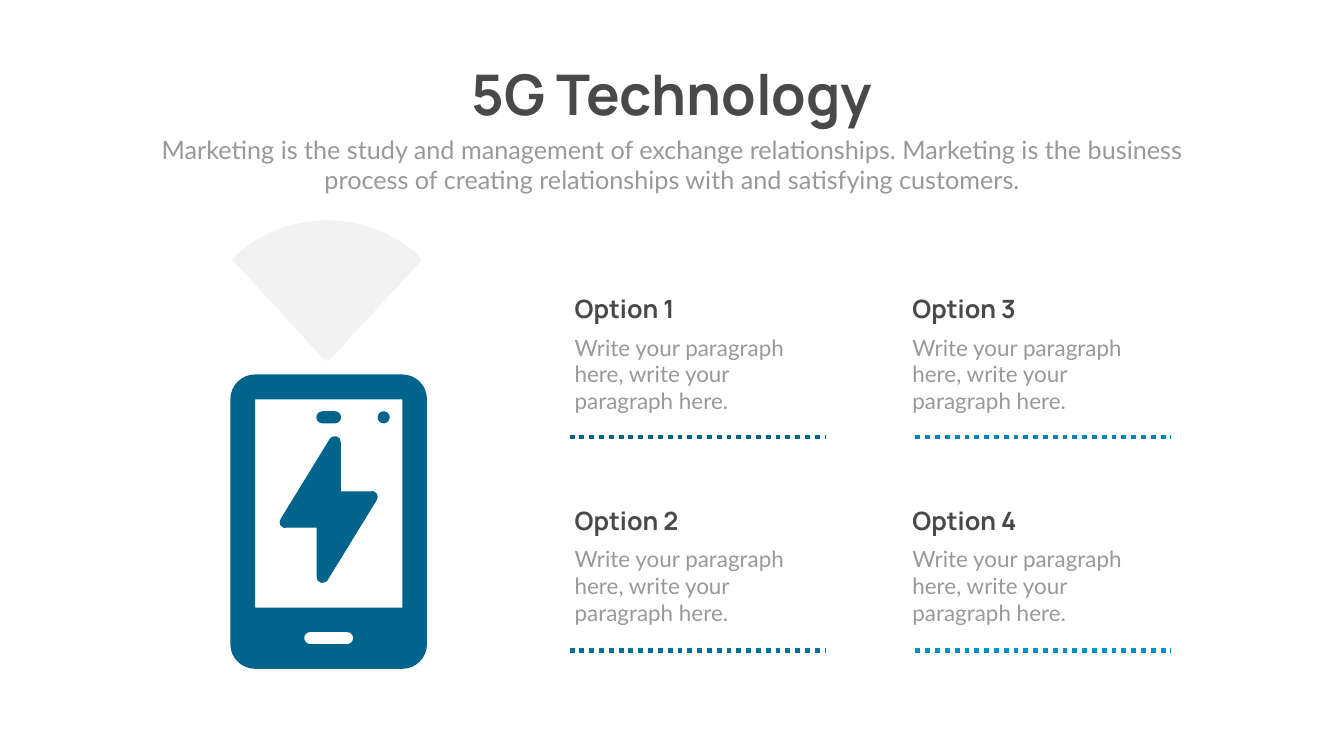
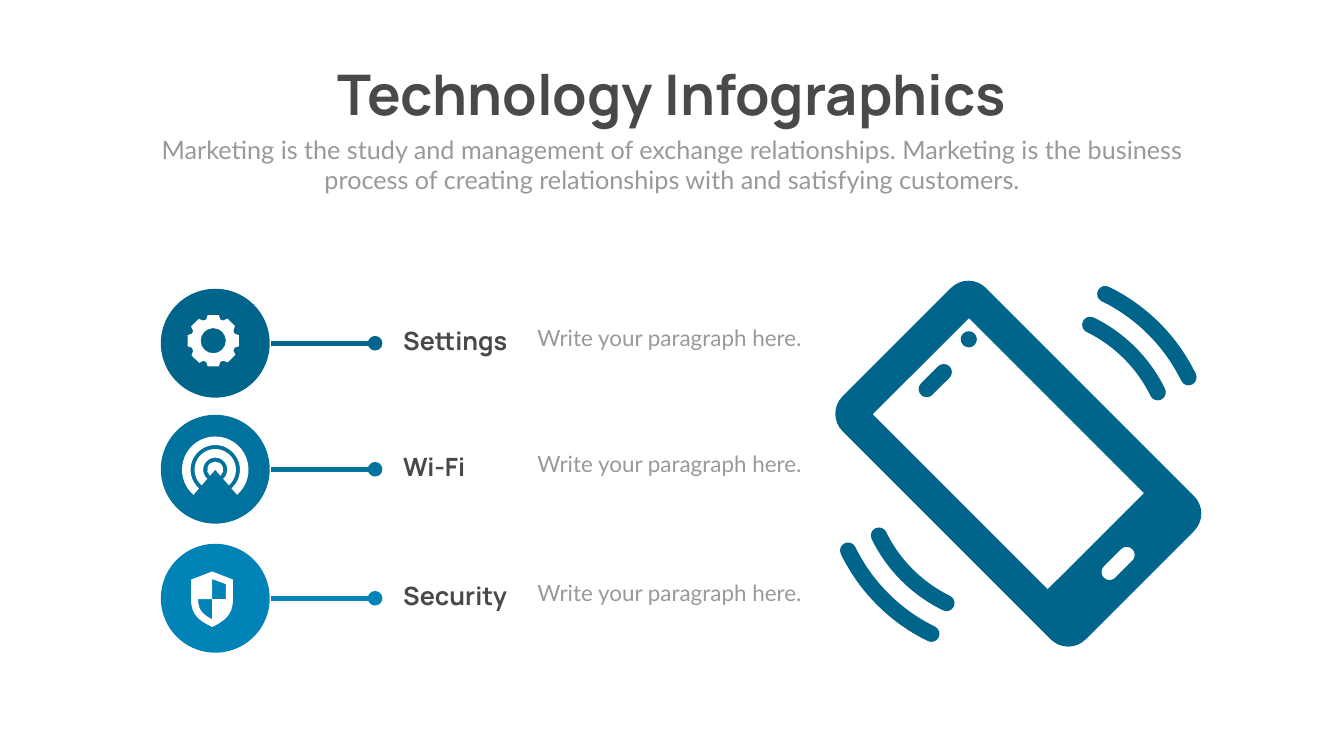
from dataclasses import dataclass
from math import ceil, cos, radians, sin, tan

from lxml.etree import SubElement as Sub
from pptx import Presentation
from pptx.dml.color import RGBColor as Rgb
from pptx.enum.dml import MSO_LINE as Dash
from pptx.enum.shapes import MSO_CONNECTOR as Link
from pptx.enum.shapes import MSO_SHAPE as Kind
from pptx.enum.text import MSO_AUTO_SIZE as Fit
from pptx.enum.text import PP_ALIGN as Align
from pptx.oxml.ns import qn
from pptx.util import Pt

PX = 9144
FINE = 10
WIDE, HIGH = 2666, 1500


@dataclass(frozen=True)
class Theme:
    dark: str = "494949"
    grey: str = "999999"
    pale: str = "F2F2F2"
    white: str = "FFFFFF"
    blues: tuple = ("00648B", "00729D", "0183B7", "0092CC")
    head: str = "Manrope"
    body: str = "Lato"
    title: int = 80
    lead: int = 36
    note: int = 32
    rule: int = 7


T = Theme()
LEAD = ("Marketing is the study and management of exchange relationships. "
        "Marketing is the business process of creating relationships with "
        "and satisfying customers.")
NOTE = "Write your paragraph here."
LONG = "Write your paragraph here, write your paragraph here."


def emu(*sizes):
    return [round(size * PX) for size in sizes]


def write(slide, text, at, font=T.body, size=T.note, color=T.grey,
          bold=False, align=Align.LEFT, wrap=True):
    frame = slide.shapes.add_textbox(*emu(*at)).text_frame
    frame.word_wrap = wrap
    frame.auto_size = Fit.SHAPE_TO_FIT_TEXT
    para = frame.paragraphs[0]
    para.alignment = align
    run = para.add_run()
    run.text = text
    run.font.name = font
    run.font.size = Pt(size)
    run.font.bold = bold
    run.font.color.rgb = Rgb.from_string(color)


def label(slide, text, at):
    write(slide, text, at, font=T.head, size=T.lead, color=T.dark, bold=True)


def header(slide, title, wide):
    write(slide, title, ((WIDE - wide) / 2, 114, wide, 145), font=T.head,
          size=T.title, color=T.dark, bold=True, align=Align.CENTER, wrap=False)
    write(slide, LEAD, (292, 261, 2082, 131), size=T.lead, align=Align.CENTER)


def paint(shape, color):
    shape.shadow.inherit = False
    shape.fill.solid()
    shape.fill.fore_color.rgb = Rgb.from_string(color)
    shape.line.fill.background()


def rule(slide, x, y, wide, color, dash=None, tip=None):
    link = slide.shapes.add_connector(Link.STRAIGHT, *emu(x, y, x + wide, y))
    link.line.color.rgb = Rgb.from_string(color)
    link.line.width = Pt(T.rule)
    if dash:
        link.line.dash_style = dash
    props = link.element.spPr
    if tip:
        Sub(props.find(qn("a:ln")), qn("a:tailEnd"), type=tip)
    Sub(props, qn("a:effectLst"))


def pairs(part):
    return list(zip(part[::2], part[1::2]))


def tidy(loop):
    kept = []
    for part in loop:
        part = tuple(round(value * FINE) for value in part)
        if not kept or len(part) == 6 or part != kept[-1][-2:]:
            kept.append(part)
    return kept


def bend(shape, loops):
    tags = [qn(f"a:{name}") for name in ("moveTo", "lnTo", "close")]
    nodes = iter(list(shape.element.iter(*tags)))
    for loop in loops:
        for part in loop:
            first = next(nodes)
            if len(part) == 6:
                first.tag = qn("a:cubicBezTo")
                for node in (next(nodes), next(nodes)):
                    first.append(node[0])
                    node.getparent().remove(node)
        next(nodes)


def draw(slide, color, *loops):
    loops = [tidy(loop) for loop in loops]
    form = slide.shapes.build_freeform(*loops[0][0], scale=PX / FINE)
    for i, loop in enumerate(loops):
        if i:
            form.move_to(*loop[0])
        spots = [spot for part in loop[1:] for spot in pairs(part)]
        form.add_line_segments(spots, close=True)
    shape = form.convert_to_shape()
    bend(shape, loops)
    paint(shape, color)


def arc(x, y, r, start, end, step=90):
    count = ceil(abs(end - start) / step)
    gap = radians((end - start) / count)
    pull = 4 / 3 * tan(gap / 4)
    loop = [(x + r * cos(radians(start)), y + r * sin(radians(start)))]
    for i in range(count):
        a = radians(start) + i * gap
        b = a + gap
        loop.append((x + r * (cos(a) - pull * sin(a)),
                     y + r * (sin(a) + pull * cos(a)),
                     x + r * (cos(b) + pull * sin(b)),
                     y + r * (sin(b) - pull * cos(b)),
                     x + r * cos(b), y + r * sin(b)))
    return loop


def box(x, y, w, h, r=0, step=90):
    dx, dy = w / 2 - r, h / 2 - r
    ends = [(x + i * dx, y + j * dy)
            for i, j in ((1, 1), (-1, 1), (-1, -1), (1, -1))]
    if not r:
        return ends
    return [part for n, end in enumerate(ends)
            for part in arc(*end, r, 90 * n, 90 * n + 90, step)]


def turn(loop, deg, mid=(0, 0)):
    c, s = cos(radians(deg)), sin(radians(deg))
    return [tuple(value for x, y in pairs(part)
                  for value in (mid[0] + x * c - y * s, mid[1] + x * s + y * c))
            for part in loop]


def phone(slide, mid, body, screen, button, speaker, lens, deg=0):
    step = 45 if deg else 90
    for group in ((body, button, screen), (speaker,), (lens,)):
        draw(slide, T.blues[0],
             *(turn(box(*part, step=step), deg, mid) for part in group))


def wave(slide, x, y, r, deg, span=19, half=16):
    a, b = deg - span, deg + span
    tips = [arc(x, y, r, side, side + 1)[0] for side in (a, b)]
    draw(slide, T.blues[0],
         arc(x, y, r + half, a, b) + arc(*tips[1], half, b, b + 180)
         + arc(x, y, r - half, b, a) + arc(*tips[0], half, a + 180, a + 360))


def bolt(slide, x, y):
    side = [(-85, 36), (-24, 36), (-24, 133),
            (-24, 139, -21, 144, -16, 145), (-13, 146, -5, 145, -2, 140),
            (95, -18), (98, -22, 98, -27, 96, -31), (93, -35, 89, -37, 85, -37)]
    draw(slide, T.blues[0], turn(side, 0, (x, y)) + turn(side, 180, (x, y)))


def beam(slide, x, y):
    rim = [(183, 72), (133, 25, 68, 0, 0, 0), (-68, 0, -133, 25, -183, 72),
           (-186, 75, -187, 80, -184, 83), (-5, 277),
           (-4, 278, -2, 279, 0, 279), (2, 279, 4, 278, 5, 277),
           (184, 83), (187, 80, 186, 75, 183, 72)]
    draw(slide, T.pale, turn(rim, 0, (x, y)))


def gear(slide, x, y):
    teeth = [(11, -51), (14, -42), (16, -42, 18, -41, 20, -40), (28, -44),
             (43, -29), (40, -20), (41, -18, 42, -16, 42, -14), (51, -11)]
    rim = [part for n in range(4) for part in turn(teeth, 90 * n, (x, y))]
    draw(slide, T.white, rim, arc(x, y, 25, 0, 360))


def signal(slide, x, y):
    for far, near in ((66, 49), (41, 24), (16, 0)):
        inner = arc(x, y, near, 409, 131) if near else [(x, y)]
        draw(slide, T.white, arc(x, y, far, 131, 409) + inner)


def shield(slide, x, y):
    rim = [(0, 0), (-42, 16), (-42, 55), (-42, 87, -25, 98, 0, 110),
           (24, 98, 41, 87, 41, 55), (41, 16)]
    core = [(-28, 55), (0, 55), (0, 15), (27, 25), (27, 55), (0, 55),
            (0, 95), (-19, 85, -28, 76, -28, 55)]
    draw(slide, T.white, turn(rim, 0, (x, y)), turn(core, 0, (x, y)))


def options(slide):
    for i, color in enumerate(T.blues):
        col, row = divmod(i, 2)
        x, y = 1130 + 670 * col, 577 + 420 * row
        write(slide, LONG, (x, y + 80, 465, 172))
        label(slide, f"Option {i + 1}", (x, y, 372, 71))
        rule(slide, 1130 + 686 * col, 867 + 423 * row, 507, color,
             dash=Dash.ROUND_DOT)


def topic(slide, name, y, color):
    label(slide, name, (790, y + 67, 401, 71))
    write(slide, NOTE, (1056, y + 66, 576, 64))
    disc = slide.shapes.add_shape(Kind.OVAL, *emu(319, y, 216, 216))
    disc.rotation = 90
    paint(disc, color)
    rule(slide, 537, y + 108, 207, color, tip="oval")


def main():
    deck = Presentation()
    deck.slide_width, deck.slide_height = emu(WIDE, HIGH)
    blank = deck.slide_layouts[6]

    mobile = deck.slides.add_slide(blank)
    header(mobile, "5G Technology", 901)
    bolt(mobile, 652, 1011)
    phone(mobile, (652, 1035), body=(0, 0, 390, 584, 49),
          screen=(0, -36, 292, 413), button=(0, 231, 97, 24, 12),
          speaker=(0, -207, 49, 24, 12), lens=(109, -207, 24, 24, 12))
    beam(mobile, 649, 437)
    options(mobile)

    info = deck.slides.add_slide(blank)
    header(info, "Technology Infographics", 1459)
    for x, y, deg in ((2005, 935, 135), (2035, 906, -45)):
        for r in (291, 359):
            wave(info, x, y, r, deg)
    phone(info, (2020, 920), body=(0, 0, 402, 682, 49),
          screen=(0, -28, 270, 491), button=(0, 280, 80, 32, 16),
          speaker=(0, -233, 80, 32, 16), lens=(105, -244, 32, 32, 16), deg=-45)
    names = ("Settings", "Wi-Fi", "Security")
    for name, y, color in zip(names, (573, 823, 1079), T.blues):
        topic(info, name, y, color)
    signal(info, 427, 932)
    gear(info, 423, 676)
    shield(info, 421, 1134)

    deck.save("out.pptx")


if __name__ == "__main__":
    main()
